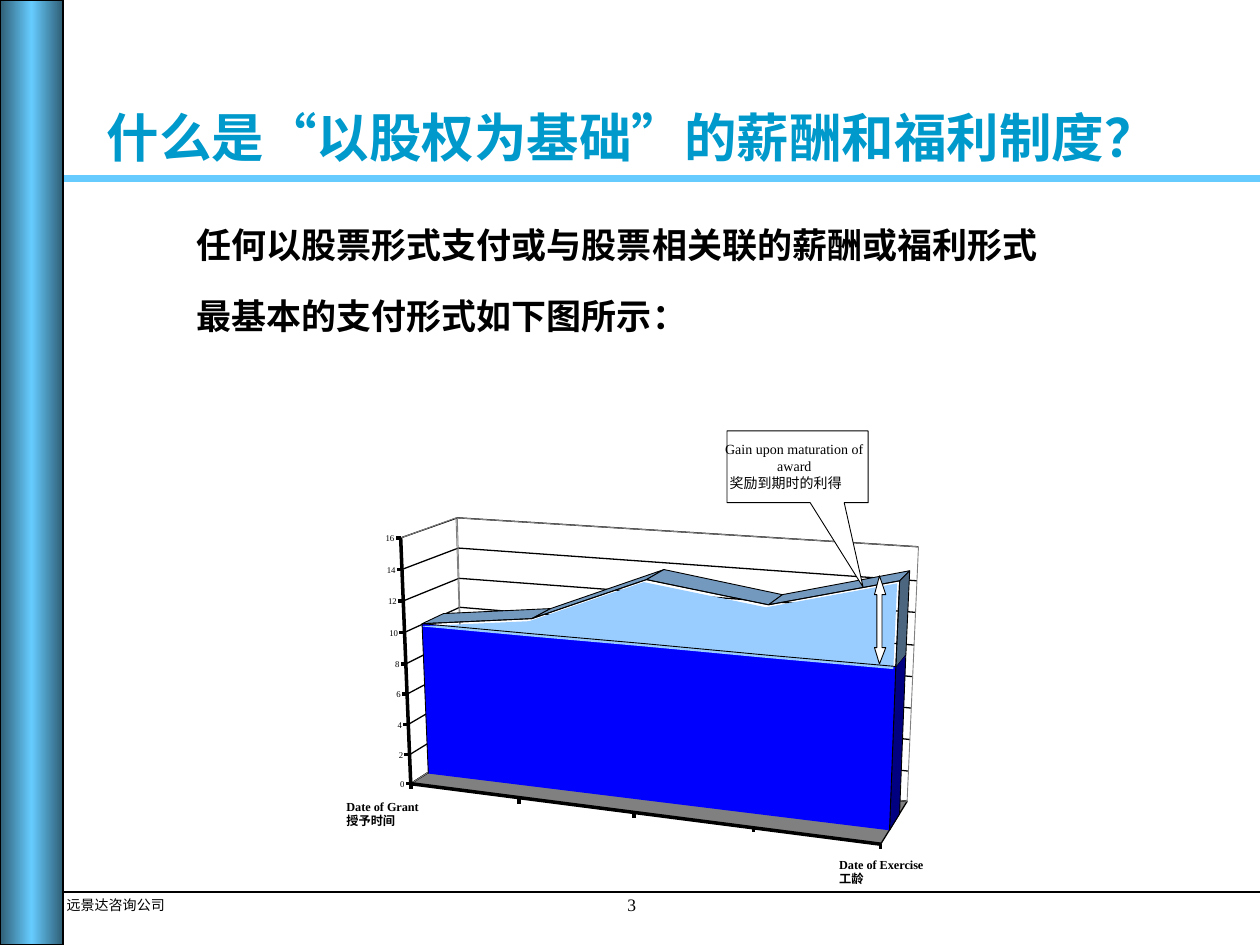
"""Builds the slide on share-based pay, with a perspective area chart of award value."""
from copy import deepcopy

from lxml import etree
from pptx import Presentation
from pptx import util as u
from pptx.dml.color import RGBColor
from pptx.enum import shapes, text
from pptx.oxml.ns import qn

THEME = {
    "latin": "Times New Roman", "label": "Roboto", "cjk": "Noto Sans CJK SC",
    "black": "000000", "white": "FFFFFF", "grey": "808080",
    "title": "0099CC", "sky": "66CCFF", "edge": "2F5E75",
    "gain": "99CCFF", "gain_top": "7399BF", "gain_side": "4D6680",
    "base": "0000FF", "base_side": "000080",
    "title_pt": 30, "body_pt": 20, "page_pt": 10, "note_pt": 8, "axis_pt": 7, "tick_pt": 5,
}

TITLE = "什么是“以股权为基础”的薪酬和福利制度？"
BODY = ["任何以股票形式支付或与股票相关联的薪酬或福利形式", "最基本的支付形式如下图所示："]
FOOTER, PAGE = "远景达咨询公司", "3"
AXIS_ENDS = [
    ((2.75, 6.34, 1, 0.35), "Date of Grant", "授予时间"),
    ((6.66, 6.8, 0.92, 0.23), "Date of Exercise", "工龄"),
]
CALLOUT_TEXT = ("Gain upon maturation of award", "奖励到期时的利得")

LEVELS = [
    (0, 6.22, 5.95, 6.36), (2, 5.99, 5.73, 6.12), (4, 5.75, 5.5, 5.87),
    (6, 5.51, 5.28, 5.62), (8, 5.27, 5.05, 5.37), (10, 5.02, 4.82, 5.12),
    (12, 4.77, 4.59, 4.86), (14, 4.52, 4.35, 4.61), (16, 4.27, 4.11, 4.34),
]
FLOOR = [(3.26, 6.22), (3.68, 5.95), (7.2, 6.36), (6.99, 6.7)]
SIDE_WALL = [(3.26, 6.22), (3.18, 4.27), (3.62, 4.11), (3.68, 5.95)]
BACK_WALL = [(3.68, 5.95), (3.63, 4.11), (7.29, 4.34), (7.2, 6.36)]
DATE_TICKS = [(3.26, 6.22), (4.12, 6.34), (5.03, 6.45), (5.98, 6.56), (6.99, 6.7)]

GAIN_FRONT = [(3.35, 4.95), (4.22, 4.91), (5.13, 4.6), (6.1, 4.8), (7.14, 4.61)]
GAIN_BACK = [(3.52, 4.87), (4.37, 4.83), (5.27, 4.52), (6.21, 4.72), (7.22, 4.53)]
BASE_TOP = [(3.35, 4.95), (4.22, 5.03), (5.13, 5.11), (6.09, 5.2), (7.11, 5.29)]
BASE_BACK = (7.19, 5.19)
BASE_FOOT = [(7.06, 6.59), (3.4, 6.14)]
BASE_SIDE = [BASE_TOP[-1], BASE_BACK, (7.14, 6.46), BASE_FOOT[0]]
GAIN_SIDE = [GAIN_FRONT[-1], GAIN_BACK[-1], BASE_BACK, BASE_TOP[-1]]
GAIN_SHIFT = (-0.02, 0.02)
GAIN_ARROW = [(6.98, 4.57), (7.03, 4.72), (7, 4.72), (7, 5.14), (7.03, 5.14),
              (6.98, 5.27), (6.94, 5.14), (6.96, 5.14), (6.96, 4.72), (6.94, 4.72)]
CALLOUT = [(5.77, 3.42), (5.77, 3.99), (6.43, 3.99), (6.85, 4.66),
           (6.7, 3.99), (6.89, 3.99), (6.89, 3.42)]


def rgb(name):
    return RGBColor.from_string(THEME[name])


def outline(sp, color, width):
    if color:
        sp.line.color.rgb = rgb(color)
        sp.line.width = u.Pt(width)
    else:
        sp.line.fill.background()


def add_line(s, start, end, color="black", width=0.5):
    ends = [u.Inches(v) for v in (*start, *end)]
    sp = s.shapes.add_connector(shapes.MSO_CONNECTOR.STRAIGHT, *ends)
    outline(sp, color, width)
    etree.SubElement(sp._element.spPr, qn("a:effectLst"))


def add_outline(s, points, fill=None, line=None, width=0.5, close=True):
    pts = [(u.Inches(x), u.Inches(y)) for x, y in points]
    builder = s.shapes.build_freeform(*pts[0], scale=1.0)
    builder.add_line_segments(pts[1:], close=close)
    sp = builder.convert_to_shape()
    sp.shadow.inherit = False
    if fill:
        sp.fill.solid()
        sp.fill.fore_color.rgb = rgb(fill)
    else:
        sp.fill.background()
    outline(sp, line, width)


def add_text(s, box, lines, size, color="black", bold=False, fonts=("latin",),
             align="LEFT", inset=(0, 0, 0, 0), wrap=True, anchor="TOP",
             leading=None, before=None):
    tf = s.shapes.add_textbox(*map(u.Inches, box)).text_frame
    tf.word_wrap = wrap
    tf.vertical_anchor = getattr(text.MSO_ANCHOR, anchor)
    tf.margin_left, tf.margin_top, tf.margin_right, tf.margin_bottom = map(u.Inches, inset)
    for i, line in enumerate(lines):
        p = tf.paragraphs[0] if i == 0 else tf.add_paragraph()
        p.text = line
        p.alignment = getattr(text.PP_ALIGN, align)
        if leading:
            p.line_spacing = u.Pt(leading)
        if before:
            p.space_before = u.Pt(before)
        p.font.size = u.Pt(THEME[size])
        p.font.bold = bold
        p.font.color.rgb = rgb(color)
        p.font.name = THEME[fonts[min(i, len(fonts) - 1)]]
        etree.SubElement(p.font._element, qn("a:ea")).set("typeface", THEME["cjk"])
    return tf


def add_frame(s):
    pad = (0.1, 0.05, 0.1, 0.05)
    add_line(s, (0.5, 1.42), (10, 1.42), "sky", 4)
    add_text(s, (4.63, 7.05, 0.77, 0.26), [PAGE], "page_pt", align="CENTER", inset=pad, wrap=False)
    add_text(s, (0.43, 7.07, 0.88, 0.23), [FOOTER], "note_pt", inset=(0.1, 0.05, 0, 0.05), wrap=False)
    add_line(s, (0.5, 7.08), (10, 7.08), width=1)
    band = s.shapes.add_shape(shapes.MSO_SHAPE.RECTANGLE, 0, 0, u.Inches(0.5), u.Inches(7.5))
    band.shadow.inherit = False
    outline(band, "black", 1)
    band.fill.gradient()
    band.fill.gradient_angle = 0
    stops = band.fill.gradient_stops
    for stop, color, position in zip(stops, ("edge", "sky"), (0, 0.5)):
        stop.color.rgb = rgb(color)
        stop.position = position
    gs_list = band._element.spPr.find(".//" + qn("a:gsLst"))
    last = deepcopy(gs_list[0])
    last.set("pos", "100000")
    gs_list.append(last)
    add_text(s, (0.75, 0.13, 9.08, 1.25), [TITLE], "title_pt", "title", True, ("cjk",),
             inset=pad, anchor="BOTTOM", leading=32)
    add_text(s, (1.46, 1.75, 7.85, 4.73), BODY, "body_pt", bold=True, fonts=("cjk",),
             inset=pad, leading=22, before=18.7)


def add_walls(s):
    for points, fill in ((FLOOR, "grey"), (SIDE_WALL, "white"), (BACK_WALL, "white")):
        add_outline(s, points, fill)
    for i, (_, left, back, right) in enumerate(LEVELS):
        grid = [(3.26 - 0.01 * i, left), (3.68 - 0.006 * i, back), (7.2 + 0.011 * i, right)]
        add_outline(s, grid, line="black", width=0, close=False)
    add_outline(s, FLOOR, line="black", width=0)
    for wall in (SIDE_WALL, BACK_WALL):
        add_outline(s, wall, line="grey")
    add_line(s, DATE_TICKS[0], DATE_TICKS[-1], width=0)
    for x, y in DATE_TICKS:
        add_line(s, (x, y), (x, y + 0.04), width=0)
    for box, *lines in AXIS_ENDS:
        add_text(s, box, lines, "axis_pt", bold=True, fonts=("latin", "label"))


def add_areas(s):
    for i in range(len(GAIN_FRONT) - 1):
        quad = [GAIN_FRONT[i], GAIN_BACK[i], GAIN_BACK[i + 1], GAIN_FRONT[i + 1]]
        add_outline(s, quad, "gain_top", "black")
    add_outline(s, BASE_SIDE, "base_side", "black")
    add_outline(s, GAIN_SIDE, "gain_side")
    front, back, back_foot, foot = GAIN_SIDE
    for start, end in ((front, foot), (back, back_foot), (front, back)):
        add_line(s, start, end)
    add_outline(s, BASE_TOP + BASE_FOOT, "base")
    dx, dy = GAIN_SHIFT
    add_outline(s, [(x + dx, y + dy) for x, y in GAIN_FRONT + BASE_TOP[:0:-1]], "gain")
    add_outline(s, BASE_FOOT[1:] + BASE_TOP + BASE_FOOT[:1], line="black", close=False)
    add_outline(s, GAIN_FRONT + BASE_TOP[-1:], line="black", close=False)


def add_value_axis(s):
    add_line(s, SIDE_WALL[0], SIDE_WALL[1], width=0)
    for i, (value, y, *_) in enumerate(LEVELS):
        x = 3.26 - 0.01 * i
        add_line(s, (x, y), (x - 0.04, y), width=0)
        add_text(s, (x - 0.25, y - 0.04, 0.2, 0.08), [str(value)], "tick_pt", align="RIGHT")


def add_callout(s):
    for points in (GAIN_ARROW, CALLOUT):
        add_outline(s, points, "white", "black")
    tf = add_text(s, (5.69, 3.5, 1.23, 0.6), CALLOUT_TEXT, "note_pt",
                  fonts=("latin", "label"), align="CENTER")
    p = tf.paragraphs[1]
    p.alignment = text.PP_ALIGN.LEFT
    p._p.get_or_add_pPr().set("marL", str(u.Inches(0.1)))


def main():
    prs = Presentation()
    prs.slide_width, prs.slide_height = u.Inches(10), u.Inches(7.5)
    s = prs.slides.add_slide(prs.slide_layouts[6])
    for draw in (add_frame, add_walls, add_areas, add_value_axis, add_callout):
        draw(s)
    prs.save("out.pptx")


if __name__ == "__main__":
    main()
